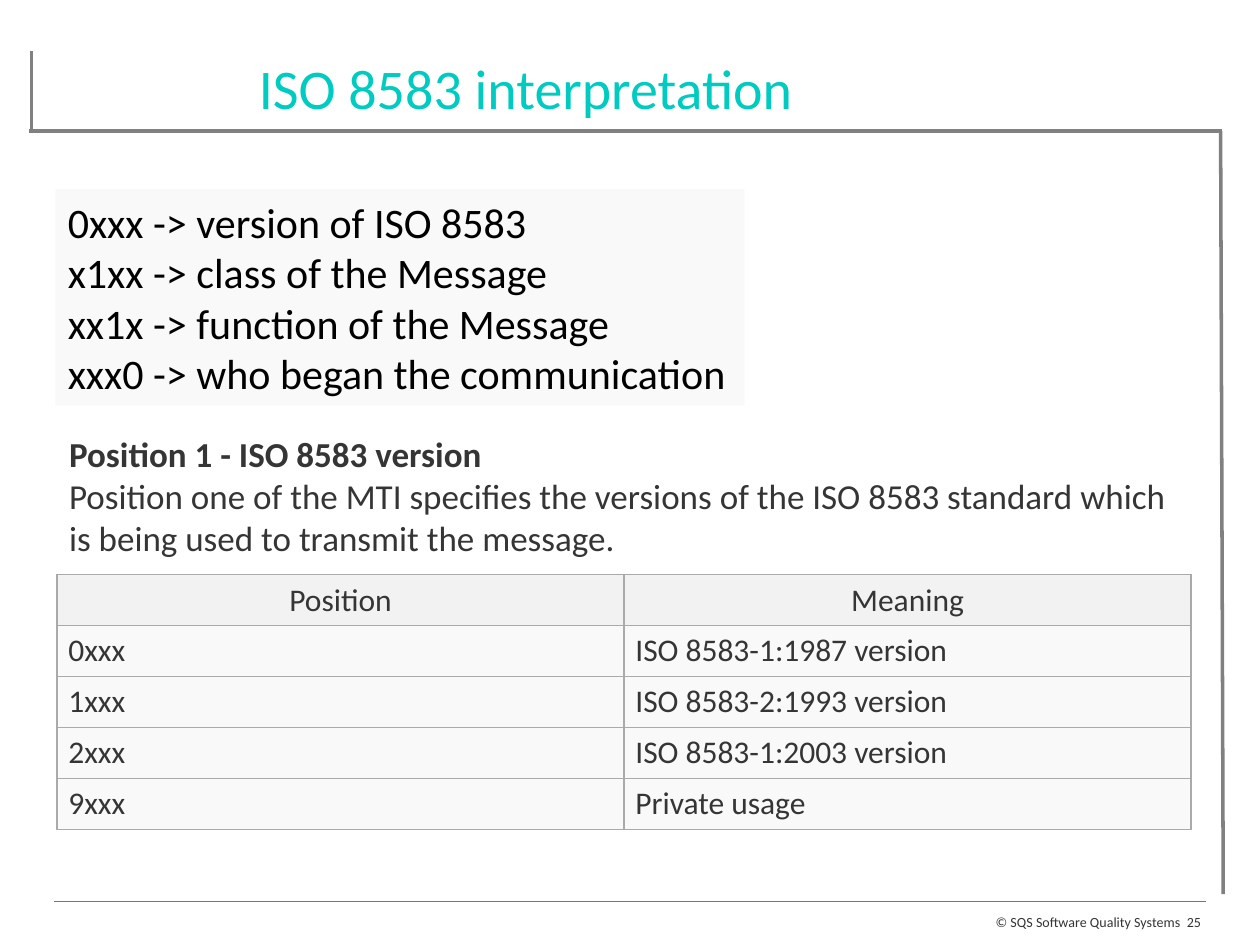
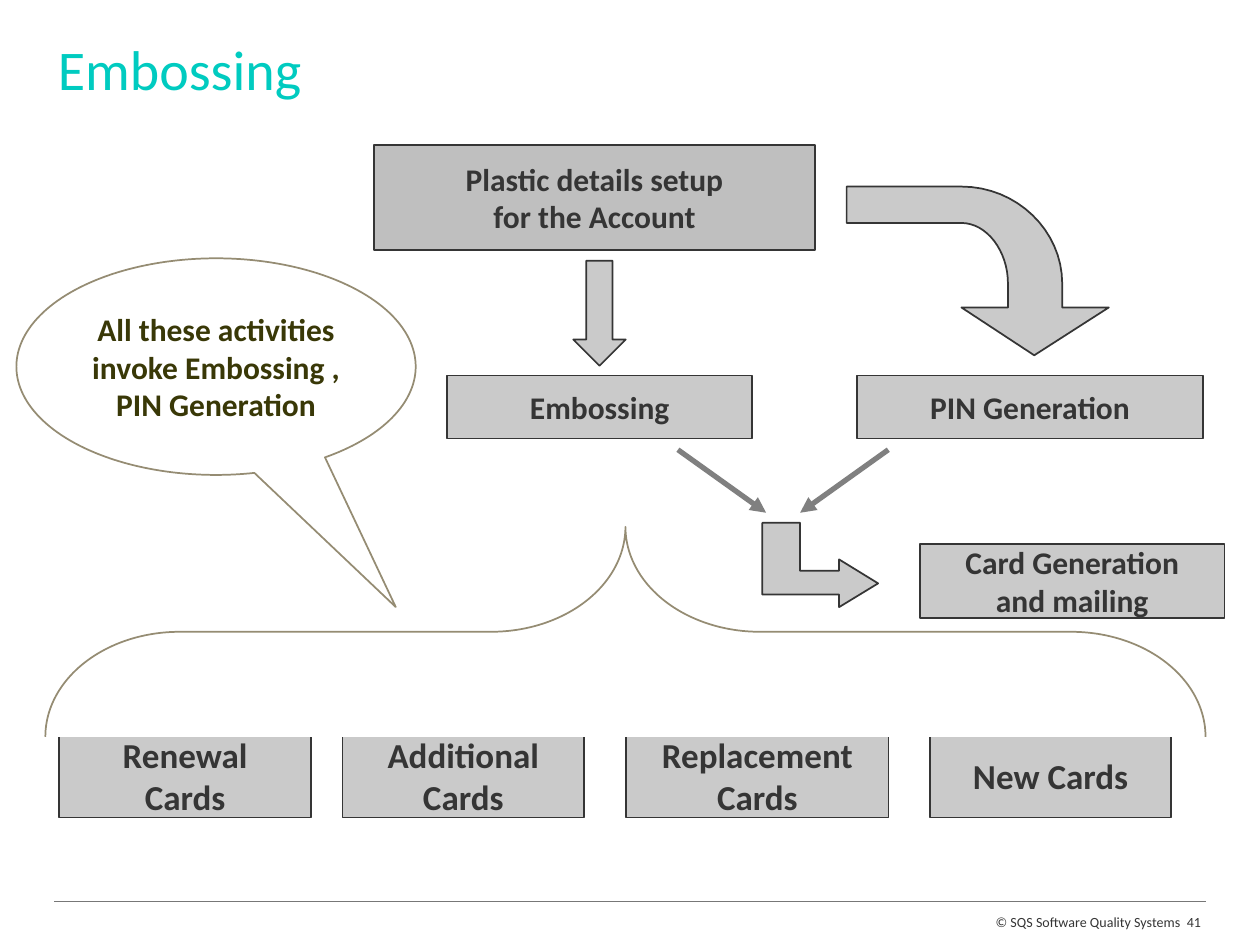
from dataclasses import dataclass
from typing import Optional

import pptx
import pptx.dml.color
import pptx.enum.dml
import pptx.enum.shapes
import pptx.enum.text
import pptx.oxml
import pptx.oxml.ns
import pptx.util
from lxml import etree

Pt = pptx.util.Pt
RGBColor = pptx.dml.color.RGBColor
Align = pptx.enum.text.PP_ALIGN
Anchor = pptx.enum.text.MSO_ANCHOR
Preset = pptx.enum.shapes.MSO_SHAPE
qn = pptx.oxml.ns.qn

FONT = "Calibri"
TEAL = RGBColor(0x00, 0xCB, 0xC0)
INK = RGBColor(0x35, 0x35, 0x35)
OLIVE = RGBColor(0x39, 0x38, 0x07)
BLACK = RGBColor(0x00, 0x00, 0x00)
WHITE = RGBColor(0xFF, 0xFF, 0xFF)
GREY = RGBColor(0x80, 0x80, 0x80)
BOX_GREY = RGBColor(0x96, 0x96, 0x96)
RULE_GREY = RGBColor(0x77, 0x77, 0x77)
BORDER_GREY = RGBColor(0xAA, 0xAA, 0xAA)
HEADER_FILL = RGBColor(0xF2, 0xF2, 0xF2)
PALE = RGBColor(0xF9, 0xF9, 0xF9)
TAUPE = RGBColor(0x95, 0x8C, 0x73)

Point = tuple[float, float]


@dataclass(frozen=True)
class Area:
    left: float
    top: float
    width: float
    height: float

    def lengths(self) -> list[pptx.util.Length]:
        return [Pt(value) for value in (self.left, self.top, self.width, self.height)]


@dataclass(frozen=True)
class Style:
    size: float
    color: RGBColor = INK
    bold: bool = False
    align: Align = Align.LEFT
    spacing: float = 1.0


@dataclass(frozen=True)
class Step:
    """A translucent process box with centred lines of text."""
    lines: tuple[str, ...]
    area: Area
    size: float = 18
    fill: RGBColor = BOX_GREY


@dataclass(frozen=True)
class Curve:
    """A cubic curve that leads on from the point before it."""
    control_1: Point
    control_2: Point
    end: Point


FOOTER = Style(8, align=Align.RIGHT, spacing=0.95)
PAGE_NUMBER = Style(8, align=Align.CENTER, spacing=0.95)

MTI_DIGITS = (
    "0xxx -> version of ISO 8583",
    "x1xx -> class of the Message",
    "xx1x -> function of the Message",
    "xxx0 -> who began the communication",
)
VERSIONS = (
    ("Position", "Meaning"),
    ("0xxx", "ISO 8583-1:1987 version"),
    ("1xxx", "ISO 8583-2:1993 version"),
    ("2xxx", "ISO 8583-1:2003 version"),
    ("9xxx", "Private usage"),
)
TITLE_FRAME = (
    ((16.5, 75), (698.5, 75)),
    ((18, 76), (18, 29)),
    ((697.5, 75), (699, 511)),
)

CARD_TOP, CARD_HEIGHT = 419, 48.2
CARD_KINDS = (
    Step(("New Cards",), Area(531.4, CARD_TOP, 138, CARD_HEIGHT), 20),
    Step(("Additional", "Cards"), Area(195.8, CARD_TOP, 138, CARD_HEIGHT), 20),
    Step(("Replacement", "Cards"), Area(357.8, CARD_TOP, 150, CARD_HEIGHT), 20),
    Step(("Renewal", "Cards"), Area(33.8, CARD_TOP, 144, CARD_HEIGHT), 20),
)
FLOW_STEPS = (
    Step(("Plastic details setup", "for the Account"), Area(213.8, 82.8, 252, 60), fill=GREY),
    Step(("Embossing",), Area(255.6, 214.6, 174.2, 36)),
    Step(("PIN Generation",), Area(489.6, 214.6, 198, 36)),
    Step(("Card Generation", "and mailing"), Area(525.6, 311, 174.2, 42)),
)
ARROW_TO_PIN = (
    (591, 203), (633.6, 175.7), (607, 175.7), (607, 162),
    Curve((607, 131.8), (581, 106.6), (549.4, 106.6)),
    (483.8, 106.6), (483.8, 127.4), (549.4, 127.4),
    Curve((563.8, 127.4), (576, 143.3), (576, 162)),
    (576, 175.7), (549.4, 175.7),
)
ARROW_TO_MAILING = (
    (501.8, 333.4), (479.5, 319.7), (479.5, 326.2), (457.2, 326.2), (457.2, 298.8),
    (435.6, 298.8), (435.6, 339.8), (479.5, 339.8), (479.5, 347),
)
MERGING_ARROWS = (((387.4, 257), (437.8, 293)), ((507.6, 257), (457.2, 293)))


def style_paragraph(paragraph, style: Style) -> None:
    paragraph.alignment = style.align
    if style.spacing != 1:
        paragraph.line_spacing = style.spacing
    font = paragraph.font
    font.name, font.size, font.bold = FONT, Pt(style.size), style.bold
    font.color.rgb = style.color


def write(frame, lines: tuple[str, ...], *styles: Style) -> None:
    """Fill a text frame; the last style serves all the remaining lines."""
    for index, line in enumerate(lines):
        paragraph = frame.paragraphs[0] if index == 0 else frame.add_paragraph()
        paragraph.text = line
        style_paragraph(paragraph, styles[min(index, len(styles) - 1)])


def set_margins(frame, horizontal: float, vertical: float) -> None:
    frame.margin_left = frame.margin_right = Pt(horizontal)
    frame.margin_top = frame.margin_bottom = Pt(vertical)


def add_text(page, area: Area, lines: tuple[str, ...], *styles: Style,
             margins: Point = (7.2, 3.6)) -> None:
    frame = page.shapes.add_textbox(*area.lengths()).text_frame
    frame.word_wrap = True
    set_margins(frame, *margins)
    write(frame, lines, *styles)


def add_line(page, start: Point, end: Point, color: RGBColor, width: float,
             arrow: bool = False) -> None:
    ends = [Pt(value) for value in (*start, *end)]
    line = page.shapes.add_connector(pptx.enum.shapes.MSO_CONNECTOR.STRAIGHT, *ends)
    line.line.color.rgb = color
    line.line.width = Pt(width)
    properties = line.element.spPr
    if arrow:
        outline = properties.find(qn("a:ln"))
        etree.SubElement(outline, qn("a:tailEnd"), type="triangle")
    etree.SubElement(properties, qn("a:effectLst"))


def paint(shape, fill: RGBColor, line: Optional[RGBColor], translucent: bool = False) -> None:
    shape.shadow.inherit = False
    shape.fill.solid()
    shape.fill.fore_color.rgb = fill
    if translucent:
        color = shape.element.spPr.find(qn("a:solidFill"))[0]
        etree.SubElement(color, qn("a:alpha"), val="50000")
    if line is None:
        shape.line.fill.background()
    else:
        shape.line.color.rgb = line
        shape.line.width = Pt(1)


def add_preset(page, preset: Preset, area: Area, fill: RGBColor, line: Optional[RGBColor],
               translucent: bool = False, adjustments: tuple[float, ...] = ()):
    shape = page.shapes.add_shape(preset, *area.lengths())
    for index, value in enumerate(adjustments):
        shape.adjustments[index] = value
    paint(shape, fill, line, translucent)
    return shape


def write_unwrapped(shape, lines: tuple[str, ...], style: Style) -> None:
    frame = shape.text_frame
    frame.word_wrap = False
    frame.vertical_anchor = Anchor.MIDDLE
    write(frame, lines, style)


def add_step(page, step: Step) -> None:
    shape = add_preset(page, Preset.RECTANGLE, step.area, step.fill, INK, translucent=True)
    set_margins(shape.text_frame, 0, 0)
    write_unwrapped(shape, step.lines, Style(step.size, bold=True, align=Align.CENTER))


def trace(outline: tuple) -> list[Point]:
    """Turn an outline with curves into plain points."""
    points: list[Point] = []
    for part in outline:
        if not isinstance(part, Curve):
            points.append(part)
            continue
        corners = (points[-1], part.control_1, part.control_2, part.end)
        for step in range(1, 17):
            t = step / 16
            weights = ((1 - t) ** 3, 3 * t * (1 - t) ** 2, 3 * t * t * (1 - t), t ** 3)
            x, y = (sum(w * corner[axis] for w, corner in zip(weights, corners))
                    for axis in (0, 1))
            points.append((x, y))
    return points


def add_block_arrow(page, outline: tuple) -> None:
    first, *others = [(Pt(x), Pt(y)) for x, y in trace(outline)]
    builder = page.shapes.build_freeform(*first)
    builder.add_line_segments(others, close=True)
    paint(builder.convert_to_shape(), BOX_GREY, INK, translucent=True)


def add_borders(cell) -> None:
    properties = cell._tc.get_or_add_tcPr()
    for index, side in enumerate(("lnL", "lnR", "lnT", "lnB")):
        border = etree.Element(qn(f"a:{side}"), w=str(Pt(0.75)))
        fill = etree.SubElement(border, qn("a:solidFill"))
        etree.SubElement(fill, qn("a:srgbClr"), val=str(BORDER_GREY))
        properties.insert(index, border)


def add_version_table(page) -> None:
    area = Area(32.6, 328.4, 648, 145.5)
    table = page.shapes.add_table(len(VERSIONS), 2, *area.lengths()).table
    table.first_row = table.horz_banding = False
    for row, texts in enumerate(VERSIONS):
        for column, text in enumerate(texts):
            cell = table.cell(row, column)
            cell.vertical_anchor = Anchor.MIDDLE
            cell.margin_left = cell.margin_right = Pt(6.5)
            cell.fill.solid()
            cell.fill.fore_color.rgb = PALE if row else HEADER_FILL
            add_borders(cell)
            align = Align.LEFT if row else Align.CENTER
            write(cell.text_frame, (text,), Style(18, align=align))


def add_page(deck, title: str, title_area: Area, title_align: Align, number: int):
    """Add a slide with the shared title style, footer rule and footer."""
    page = deck.slides.add_slide(deck.slide_layouts[6])
    add_line(page, (31, 515), (689, 515), RULE_GREY, 0.75)
    add_text(page, title_area, (title,), Style(32, TEAL, align=title_align), margins=(7.2, 4.6))
    add_text(page, Area(31, 522.7, 643.7, 10.8), ("© SQS Software Quality Systems",),
             FOOTER, margins=(0, 0))
    add_text(page, Area(675.4, 522.7, 13.7, 10.8), (str(number),), PAGE_NUMBER, margins=(0, 0))
    return page


def build_interpretation(deck) -> None:
    page = add_page(deck, "ISO 8583 interpretation", Area(0, 26, 601, 57), Align.CENTER, 25)
    for start, end in TITLE_FRAME:
        add_line(page, start, end, GREY, 2)
    add_version_table(page)
    add_text(page, Area(32.4, 243.4, 653, 80),
             ("Position 1 - ISO 8583 version",
              "Position one of the MTI specifies the versions of the ISO 8583 standard "
              "which is being used to transmit the message."),
             Style(20, bold=True), Style(20))
    digits = add_preset(page, Preset.RECTANGLE, Area(31.7, 108, 393.8, 123.8), PALE, None)
    digits.text_frame.auto_size = pptx.enum.text.MSO_AUTO_SIZE.SHAPE_TO_FIT_TEXT
    write_unwrapped(digits, MTI_DIGITS, Style(24, BLACK))


def build_embossing(deck) -> None:
    page = add_page(deck, "Embossing", Area(26, 15, 612, 60), Align.LEFT, 41)
    for card in CARD_KINDS:
        add_step(page, card)
    brace = add_preset(page, Preset.RIGHT_BRACE, Area(297.4, 29.5, 120, 663), WHITE, TAUPE,
                       adjustments=(0.64, 0.5))
    brace.rotation = 270
    callout = add_preset(page, Preset.OVAL_CALLOUT, Area(9.4, 147.6, 228.2, 123.8),
                         WHITE, TAUPE, adjustments=(0.45, 1.11))
    write_unwrapped(callout, ("All these activities", "invoke Embossing ,", "PIN Generation"),
                    Style(18, OLIVE, bold=True, align=Align.CENTER))
    for step in FLOW_STEPS:
        add_step(page, step)
    add_preset(page, Preset.DOWN_ARROW, Area(327.6, 149, 30, 60), BOX_GREY, INK,
               translucent=True)
    for outline in (ARROW_TO_PIN, ARROW_TO_MAILING):
        add_block_arrow(page, outline)
    for start, end in MERGING_ARROWS:
        add_line(page, start, end, GREY, 3, arrow=True)


def main() -> None:
    deck = pptx.Presentation()
    deck.slide_width, deck.slide_height = Pt(720), Pt(540)
    build_interpretation(deck)
    build_embossing(deck)
    deck.save("out.pptx")


if __name__ == "__main__":
    main()
